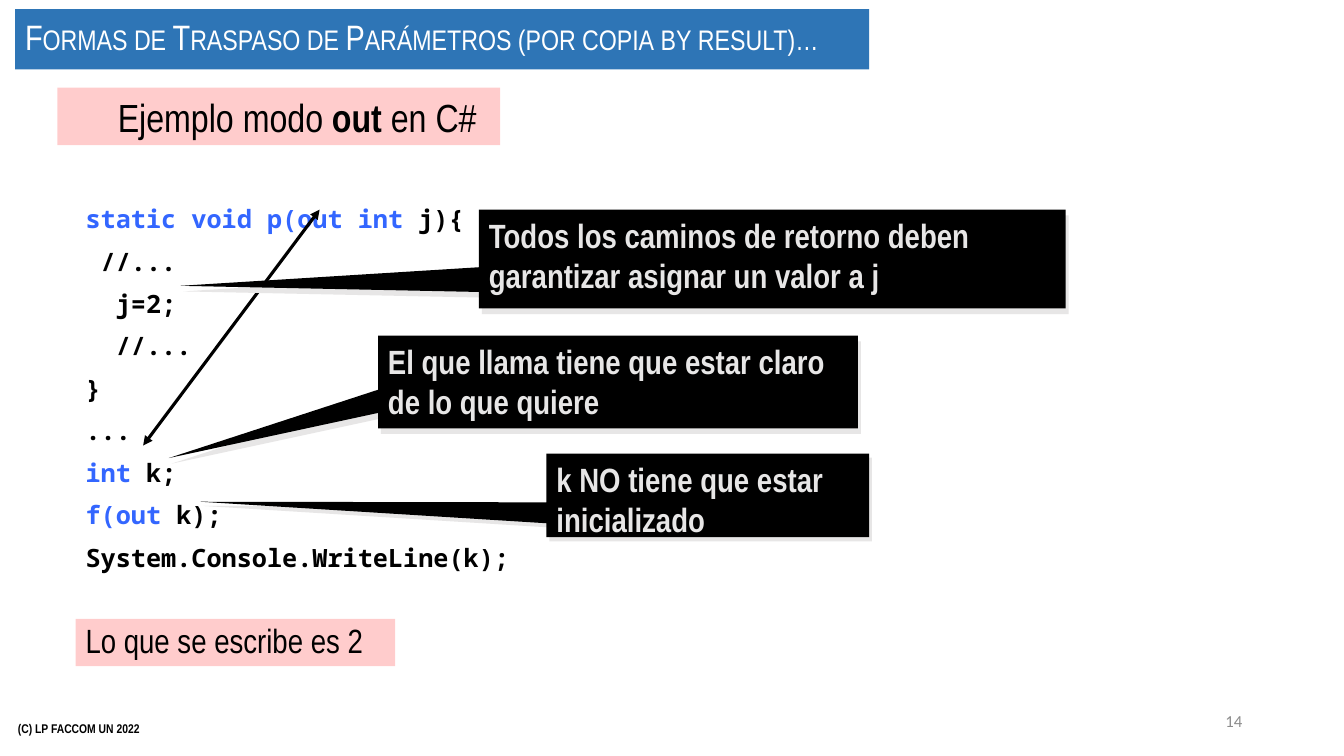
from pptx import Presentation
from pptx.dml.color import RGBColor
from pptx.enum import shapes, text
from pptx.oxml import ns, xmlchemy
from pptx.util import Inches, Pt

BLACK = RGBColor(0x00, 0x00, 0x00)
WHITE = RGBColor(0xFF, 0xFF, 0xFF)
GRAY = RGBColor(0x8C, 0x8C, 0x8C)
LIGHT = RGBColor(0xE7, 0xE6, 0xE6)
RED = RGBColor(0xFF, 0x00, 0x00)
TITLE_BLUE = RGBColor(0x2E, 0x75, 0xB6)
KEYWORD_BLUE = RGBColor(0x33, 0x66, 0xFF)

NARROW, SANS, MONO = "Arial Narrow", "Calibri", "Noto Sans Mono"
TOP, MIDDLE = text.MSO_ANCHOR.TOP, text.MSO_ANCHOR.MIDDLE

TITLE = "Formas de Traspaso de Parámetros (por copia by result)…"
HEADING = [("Ejemplo modo ", {}), ("out", {"bold": True}), (" en C#", {})]
OUTPUT = "Lo que se escribe es 2"
FOOTER = "(C) LP FACCOM UN 2022"
PAGE = "14"

# Each code line: keyword part, remaining part
CODE = [
    ("static void p(out int", " j){"),
    ("", " //..."),
    ("", "  j=2;"),
    ("", "  //..."),
    ("", "}"),
    ("", "..."),
    ("int", " k;"),
    ("f(out", " k);"),
    ("", "System.Console.WriteLine(k);"),
]

# Text, box, pointer offset, shadow distance in points, shadow angle in degrees
CALLOUTS = [
    ("El que llama tiene que estar claro de lo que quiere",
     (3.75, 3.33, 4.76, 0.92), (-0.936, 0.82), 4.5, 63),
    ("k NO tiene que estar inicializado",
     (5.42, 4.5, 3.2, 0.83), (-1.572, 0.076), 3.6, 56),
    ("Todos los caminos de retorno deben garantizar asignar un valor a j",
     (4.75, 2.08, 5.82, 0.98), (-1.009, 0.271), 4.5, 63),
]
ARROW_ENDS = (1.42, 4.42, 3.17, 2.08)


def add_element(parent, tag, **attributes):
    child = xmlchemy.OxmlElement(tag)
    for name, value in attributes.items():
        child.set(name, str(value))
    parent.append(child)
    return child


def write(shape, paragraphs, font=NARROW, size=24, color=BLACK, bold=False,
          anchor=MIDDLE, align=text.PP_ALIGN.LEFT, spacing=None, indent=0,
          small_caps=False, top=0.05):
    """Fill a shape with paragraphs, each a list of (text, run format) pairs."""
    frame = shape.text_frame
    frame.word_wrap = True
    frame.vertical_anchor = anchor
    frame.margin_top = Inches(top)
    for index, pieces in enumerate(paragraphs):
        paragraph = frame.add_paragraph() if index else frame.paragraphs[0]
        paragraph.alignment = align
        if spacing:
            paragraph.line_spacing = spacing
        if indent:
            paragraph.level = 1
            paragraph._p.get_or_add_pPr().set("marL", str(Inches(indent)))
        for words, style in pieces:
            run = paragraph.add_run()
            run.text = words
            run.font.name = font
            run.font.size = Pt(size)
            run.font.bold = style.get("bold", bold)
            run.font.color.rgb = style.get("color", color)
            if small_caps:
                run._r.get_or_add_rPr().set("cap", "small")


def add_box(slide, box, fill, kind=shapes.MSO_SHAPE.RECTANGLE, opacity=100):
    shape = slide.shapes.add_shape(kind, *map(Inches, box))
    shape.shadow.inherit = False
    shape.line.fill.background()
    shape.fill.solid()
    shape.fill.fore_color.rgb = fill
    if opacity < 100:
        color = shape.fill._xPr.find(".//" + ns.qn("a:srgbClr"))
        add_element(color, "a:alpha", val=opacity * 1000)
    return shape


def add_text(slide, box, paragraphs, **style):
    write(slide.shapes.add_textbox(*map(Inches, box)), paragraphs, **style)


def add_callout(slide, words, box, pointer, distance, angle):
    callout = add_box(slide, box, BLACK, shapes.MSO_SHAPE.RECTANGULAR_CALLOUT)
    callout.adjustments[0], callout.adjustments[1] = pointer
    effects = callout._element.spPr.find(ns.qn("a:effectLst"))
    shadow = add_element(effects, "a:outerShdw", dist=Pt(distance),
                         dir=angle * 60000, algn="ctr", rotWithShape=0)
    add_element(shadow, "a:srgbClr", val=LIGHT)
    write(callout, [[(words, {})]], color=LIGHT, bold=True, anchor=TOP)


def add_double_arrow(slide, ends):
    arrow = slide.shapes.add_connector(
        shapes.MSO_CONNECTOR.STRAIGHT, *map(Inches, ends))
    arrow.line.color.rgb = BLACK
    arrow.line.width = Pt(2.25)
    for tag in ("a:headEnd", "a:tailEnd"):
        add_element(arrow.line._get_or_add_ln(), tag, type="triangle")
    add_element(arrow._element.spPr, "a:effectLst")


def main():
    presentation = Presentation()
    presentation.slide_width = Inches(13.33)
    presentation.slide_height = Inches(7.5)
    slide = presentation.slides.add_slide(presentation.slide_layouts[6])

    add_text(slide, (0.08, 7.03, 4.5, 0.4), [[(FOOTER, {})]], size=9, bold=True)
    add_text(slide, (9.42, 6.95, 3, 0.4), [[(PAGE, {})]], font=SANS, size=12,
             color=GRAY, align=text.PP_ALIGN.RIGHT)

    heading = add_box(slide, (0.57, 0.87, 4.39, 0.57), RED, opacity=20)
    write(heading, [HEADING], size=28, indent=0.5)

    code = [[(words, style) for words, style
             in ((keyword, {"color": KEYWORD_BLUE}), (rest, {})) if words]
            for keyword, rest in CODE]
    add_text(slide, (0.75, 1.25, 8.42, 4.35), code, font=MONO, size=18,
             bold=True, anchor=TOP, spacing=1.4, top=0.65)

    output = add_box(slide, (0.75, 6.14, 3.17, 0.47), RED, opacity=20)
    write(output, [[(OUTPUT, {})]], spacing=0.9)

    add_double_arrow(slide, ARROW_ENDS)
    for callout in CALLOUTS:
        add_callout(slide, *callout)

    title = add_box(slide, (0.15, 0.09, 8.47, 0.6), TITLE_BLUE)
    write(title, [[(TITLE, {})]], size=25.2, color=WHITE, spacing=0.9,
          small_caps=True)

    presentation.save("out.pptx")


if __name__ == "__main__":
    main()
